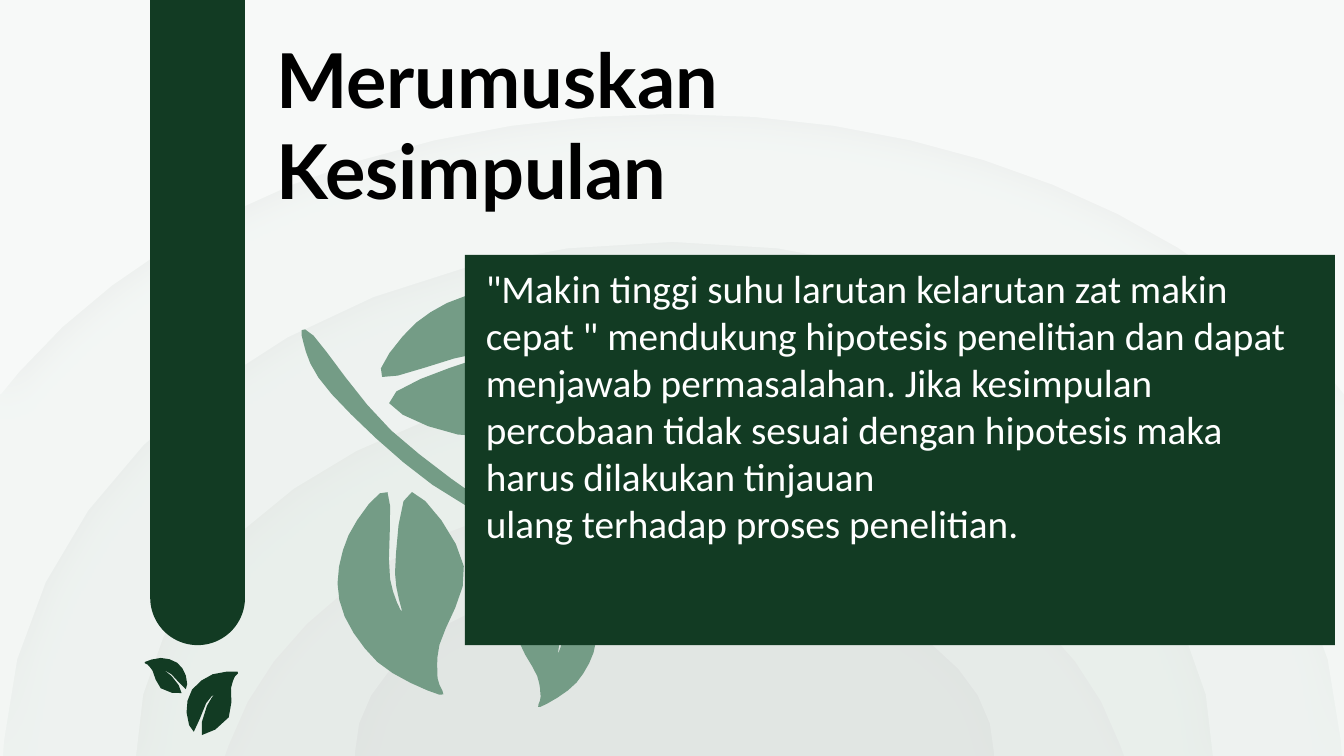
from math import cos, radians, sin

from lxml.etree import SubElement
from pptx import Presentation
from pptx.dml.color import RGBColor
from pptx.enum.shapes import MSO_SHAPE as Preset
from pptx.enum.text import MSO_AUTO_SIZE as AutoSize
from pptx.oxml.ns import qn
from pptx.util import Cm, Pt

NIGHT = RGBColor(0x0A, 0x33, 0x1B)
DARK = RGBColor(0x12, 0x3B, 0x23)
SAGE = RGBColor(0x74, 0x9C, 0x86)
WHITE = RGBColor(0xFF, 0xFF, 0xFF)
BLACK = RGBColor(0x00, 0x00, 0x00)
HILL_1 = RGBColor(0x39, 0x61, 0x48)
HILL_2 = RGBColor(0x4B, 0x7D, 0x5E)
HILL_4 = RGBColor(0x9D, 0xB9, 0xAA)
HILL_5 = RGBColor(0xC2, 0xD4, 0xCA)

WIDTH, HEIGHT = 13.33, 7.5  # layout grid in inches
CM_PER_UNIT = 2.54
# Straight segments per curve
HILL_STEPS, BRANCH_STEPS, SMALL_STEPS = 10, 4, 2

# Colour, left, centre, bottom, half width at the bottom, then the right half
# of the arch as offsets from the centre: edge, two controls, and the top
HILLS = [
    (HILL_1, 0, 6.69, 7.5, 3.17, (3.17, 7.47), (3.17, 6.47), (1.75, 5.65), 5.65),
    (HILL_2, -0.13, 6.69, 7.5, 4.46, (4.42, 7.39), (3.92, 5.92), (2.13, 4.84), 4.84),
    (SAGE, 0, 6.69, 7.5, 5.34, (5.34, 7.5), (5.34, 5.43), (2.95, 3.75), 3.75),
    (HILL_4, 0, 6.67, 7.5, 6.64, (6.63, 7.35), (6.46, 4.59), (3.55, 2.4), 2.4),
    (HILL_5, 0, 6.67, 3.91, 6.66, (6.48, 3.69), (5.15, 2.15), (2.75, 1.13), 1.13),
]

# Start point, then control, control, end for each curve
STEM = [
    (3.11, 3.33),
    (3.25, 3.48), (3.56, 3.97), (3.88, 4.27),
    (4.21, 4.57), (4.74, 4.95), (5.05, 5.14),
    (5.37, 5.34), (5.68, 5.4), (5.78, 5.46),
    (5.87, 5.52), (5.84, 5.62), (5.59, 5.51),
    (5.35, 5.4), (4.68, 5.08), (4.29, 4.81),
    (3.91, 4.54), (3.5, 4.14), (3.29, 3.91),
    (3.07, 3.67), (3.04, 3.51), (3.01, 3.4),
    (2.98, 3.3), (2.96, 3.19), (3.11, 3.33),
]
LEAF = [
    (3.79, 3.74),
    (3.69, 3.69), (3.97, 3.34), (4.13, 3.2),
    (4.3, 3.06), (4.55, 2.92), (4.79, 2.91),
    (5.03, 2.89), (5.34, 3), (5.56, 3.13),
    (5.77, 3.26), (6.03, 3.59), (6.09, 3.69),
    (6.15, 3.79), (6, 3.7), (5.91, 3.72),
    (5.82, 3.75), (5.75, 3.74), (5.56, 3.84),
    (5.38, 3.94), (5.08, 4.31), (4.8, 4.33),
    (4.51, 4.36), (3.93, 4.14), (3.86, 4),
    (3.79, 3.86), (4.49, 3.64), (4.67, 3.58),
    (4.86, 3.53), (5.09, 3.55), (5.1, 3.54),
    (5.11, 3.53), (4.91, 3.49), (4.72, 3.51),
    (4.52, 3.52), (3.88, 3.79), (3.79, 3.74),
]
LEAF_CENTRE, LEAF_LENGTH = (4.85, 3.59), 2.12

# Centre, length, turn in degrees, mirror factor
BRANCH_LEAVES = [
    (LEAF_CENTRE, LEAF_LENGTH, 0, 1),
    ((3.97, 5.84), 1.91, 254.4, -1),
    ((5.53, 6.34), 1.18, 99.4, 1),
]
SMALL_LEAVES = [
    ((1.67, 6.69), 0.45, 32.2, -1),
    ((2.09, 6.96), 0.68, 307.2, 1),
]


def length(value):
    return Cm(value * CM_PER_UNIT)


def trace(nodes, steps):
    """Turn a start point and its Bezier triples into outline points."""
    points = [nodes[0]]
    for i in range(1, len(nodes), 3):
        curve = nodes[i - 1:i + 3]
        for step in range(1, steps + 1):
            t = step / steps
            weights = ((1 - t) ** 3, 3 * t * (1 - t) ** 2, 3 * t * t * (1 - t), t ** 3)
            points.append(tuple(sum(w * node[axis] for w, node in zip(weights, curve))
                                for axis in (0, 1)))
    return points


def place_leaf(centre, size, turn, mirror):
    """Mirror, turn, scale and move the leaf outline."""
    scale = size / LEAF_LENGTH
    c, s = cos(radians(turn)) * scale, sin(radians(turn)) * scale
    offsets = [(mirror * (x - LEAF_CENTRE[0]), y - LEAF_CENTRE[1]) for x, y in LEAF]
    return [(centre[0] + x * c - y * s, centre[1] + x * s + y * c) for x, y in offsets]


class SlideBuilder:
    title_format = {"name": "Lato", "size": Pt(54), "bold": True}
    body_format = {"name": "Calibri", "size": Pt(28)}

    def __init__(self, presentation):
        self.slide = presentation.slides.add_slide(presentation.slide_layouts[6])
        self.shapes = self.slide.shapes

    def background(self, color):
        fill = self.slide.background.fill
        fill.solid()
        fill.fore_color.rgb = color

    def paint(self, shape, color):
        shape.shadow.inherit = False
        shape.fill.solid()
        shape.fill.fore_color.rgb = color
        shape.line.fill.background()
        return shape

    def preset(self, kind, box, color, opacity=None):
        shape = self.paint(self.shapes.add_shape(kind, *map(length, box)), color)
        if opacity is not None:
            tint = shape._element.spPr.find(qn("a:solidFill")).find(qn("a:srgbClr"))
            SubElement(tint, qn("a:alpha"), val=str(opacity * 1000))
        return shape

    def outline(self, points, color):
        start, *rest = [(length(x), length(y)) for x, y in points]
        builder = self.shapes.build_freeform(*start)
        builder.add_line_segments(rest, close=True)
        return self.paint(builder.convert_to_shape(), color)

    def hill(self, color, left, centre, bottom, skirt, edge, control_1, control_2, top):
        arch = [edge, control_1, control_2, (0, top)]
        arch += [(-x, y) for x, y in arch[2::-1]]
        points = [(left, 0), (WIDTH, 0), (WIDTH, bottom), (centre + skirt, bottom)]
        points += trace([(centre + x, y) for x, y in arch], HILL_STEPS)
        points += [(centre - skirt, bottom), (left, bottom)]
        shape = self.outline(points, color)
        # Soft shadow falling to the lower right
        effects = shape._element.spPr.find(qn("a:effectLst"))
        shadow = SubElement(effects, qn("a:outerShdw"), blurRad=str(int(Pt(24))),
                            dist=str(int(Pt(3))), dir="2700000", algn="tl", rotWithShape="0")
        tint = SubElement(shadow, qn("a:srgbClr"), val=str(BLACK))
        SubElement(tint, qn("a:alpha"), val="40000")

    def text(self, box, lines, font_format, color):
        frame = self.shapes.add_textbox(*map(length, box)).text_frame
        frame.word_wrap = True
        frame.auto_size = AutoSize.SHAPE_TO_FIT_TEXT
        for i, line in enumerate(lines):
            paragraph = frame.add_paragraph() if i else frame.paragraphs[0]
            run = paragraph.add_run()
            run.text = line
            for name, value in font_format.items():
                setattr(run.font, name, value)
            run.font.color.rgb = color


def main():
    presentation = Presentation()
    presentation.slide_width = length(WIDTH)
    presentation.slide_height = length(HEIGHT)
    builder = SlideBuilder(presentation)

    # Layered hills under a white veil
    builder.background(NIGHT)
    for hill in HILLS:
        builder.hill(*hill)
    builder.preset(Preset.RECTANGLE, (-0.08, -0.05, 13.59, 7.55), WHITE, opacity=88)

    # Branch
    builder.outline(trace(STEM, BRANCH_STEPS), SAGE)
    for leaf in BRANCH_LEAVES:
        builder.outline(trace(place_leaf(*leaf), BRANCH_STEPS), SAGE)

    # Hanging bar with two small leaves
    bar = builder.preset(Preset.ROUNDED_RECTANGLE, (1.49, -0.85, 0.94, 7.25), DARK)
    bar.adjustments[0] = 0.5
    for leaf in SMALL_LEAVES:
        builder.outline(trace(place_leaf(*leaf), SMALL_STEPS), DARK)

    # Title and conclusion panel
    builder.preset(Preset.RECTANGLE, (4.61, 2.53, 8.63, 3.87), DARK)
    builder.text((2.64, 0.28, 7.92, 1.92), ["Merumuskan Kesimpulan"],
                 builder.title_format, BLACK)
    builder.text((4.72, 2.57, 8.24, 3.4), [
        '"Makin tinggi suhu larutan kelarutan zat makin cepat " '
        "mendukung hipotesis penelitian dan dapat",
        "menjawab permasalahan. Jika kesimpulan percobaan tidak sesuai "
        "dengan hipotesis maka harus dilakukan tinjauan",
        "ulang terhadap proses penelitian.",
    ], builder.body_format, WHITE)

    presentation.save("out.pptx")


if __name__ == "__main__":
    main()
